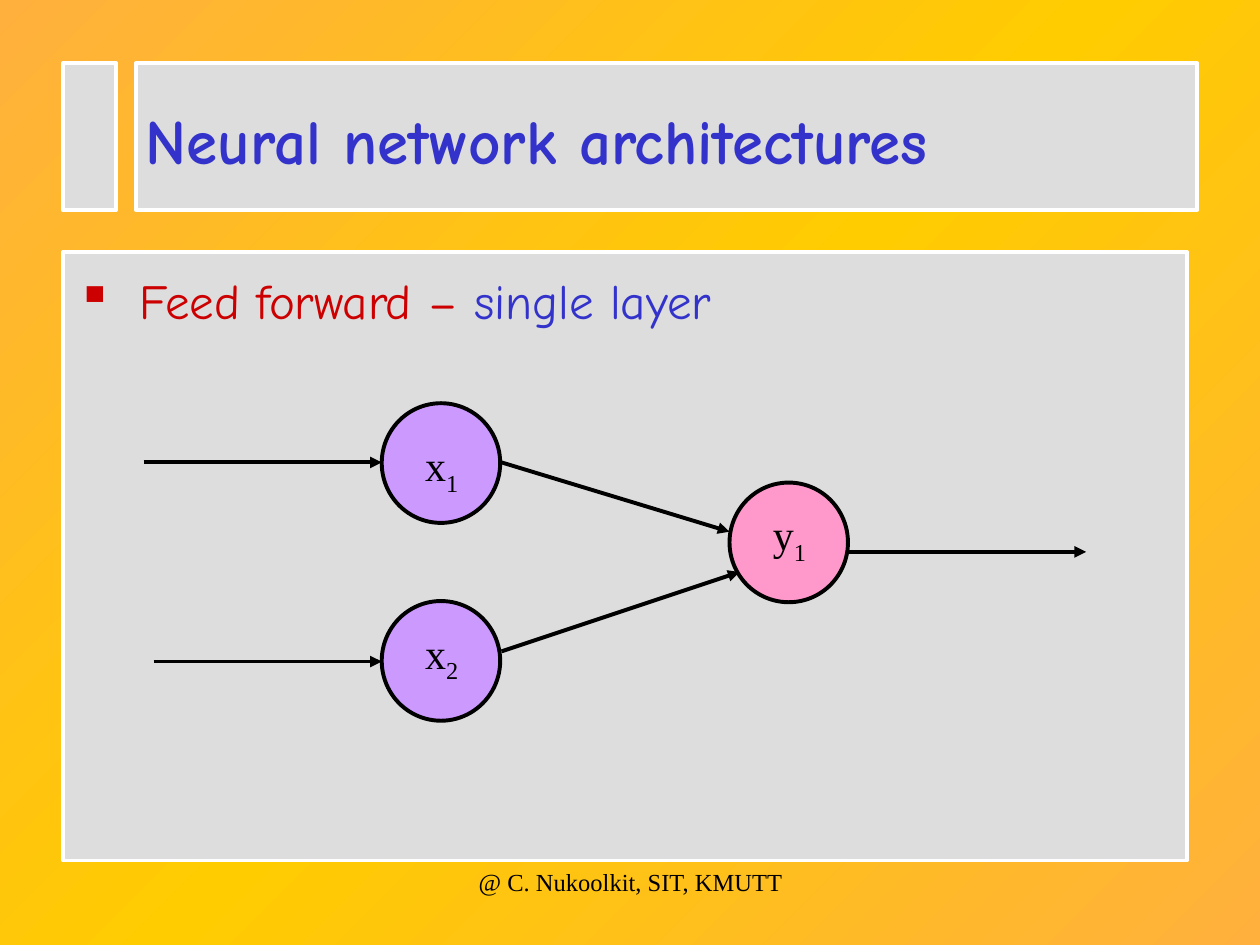
import copy

import pptx
import pptx.dml.color
import pptx.enum.shapes
import pptx.enum.text
import pptx.oxml
import pptx.oxml.ns
import pptx.util

Inches = pptx.util.Inches
Pt = pptx.util.Pt
SHAPES = pptx.enum.shapes.MSO_SHAPE
ALIGN = pptx.enum.text.PP_ALIGN


def color(hex_string):
    return pptx.dml.color.RGBColor.from_string(hex_string)


def add_element(parent, tag, **attributes):
    element = pptx.oxml.parse_xml(f"<{tag} {pptx.oxml.ns.nsdecls('a')}/>")
    for name, value in attributes.items():
        element.set(name, value)
    parent.append(element)
    return element


class SlideBuilder:
    """Hold the deck's style and draw elements on the current slide."""

    heading_font = "Comic Neue"
    label_font = "Times New Roman"
    black, blue, red = "000000", "3333CC", "CC0000"
    panel, border = "DDDDDD", "FFFFFF"
    input_fill, output_fill = "CC99FF", "FF99CC"
    edge, center = "FFB03D", "FFCC00"
    line_width = 2.25

    def __init__(self, slide):
        self.slide = slide

    def background(self):
        fill = self.slide.background.fill
        fill.gradient()
        fill.gradient_angle = 135
        stop_list = self.slide.element.xpath(".//a:gsLst")[0]
        stop_list.insert(1, copy.deepcopy(stop_list[0]))
        stops = zip(fill.gradient_stops, (0, 0.5, 1), (self.edge, self.center, self.edge))
        for stop, position, stop_color in stops:
            stop.position = position
            stop.color.rgb = color(stop_color)

    def shape(self, kind, box, fill, line):
        shape = self.slide.shapes.add_shape(kind, *map(Inches, box))
        shape.shadow.inherit = False
        shape.fill.solid()
        shape.fill.fore_color.rgb = color(fill)
        shape.line.color.rgb = color(line)
        shape.line.width = Pt(self.line_width)

    def rectangle(self, *box):
        self.shape(SHAPES.RECTANGLE, box, self.panel, self.border)

    def node(self, left, top, fill):
        self.shape(SHAPES.OVAL, (left, top, 0.94, 0.95), fill, self.black)

    def arrow(self, *ends):
        connector = self.slide.shapes.add_connector(
            pptx.enum.shapes.MSO_CONNECTOR.STRAIGHT, *map(Inches, ends))
        connector.line.color.rgb = color(self.black)
        connector.line.width = Pt(self.line_width)
        properties = connector.element.spPr
        add_element(properties.find(pptx.oxml.ns.qn("a:ln")), "a:tailEnd", type="triangle")
        add_element(properties, "a:effectLst")

    def text(self, box, size, font, align=ALIGN.LEFT, grow=True):
        text_box = self.slide.shapes.add_textbox(*map(Inches, box))
        frame = text_box.text_frame
        frame.word_wrap = True
        if grow:
            frame.auto_size = pptx.enum.text.MSO_AUTO_SIZE.SHAPE_TO_FIT_TEXT
        paragraph = frame.paragraphs[0]
        paragraph.alignment = align
        self.size, self.font = size, font
        return paragraph

    def run(self, paragraph, text, text_color, bold=False, subscript=False):
        run = paragraph.add_run()
        run.text = text
        run.font.size = Pt(self.size)
        run.font.name = self.font
        run.font.bold = bold
        run.font.color.rgb = color(text_color)
        if subscript:
            run.font._element.set("baseline", "-25000")

    def bullet(self, paragraph, character, bullet_color, indent):
        properties = paragraph._p.get_or_add_pPr()
        properties.set("marL", str(Inches(indent)))
        properties.set("indent", str(-Inches(indent)))
        add_element(add_element(properties, "a:buClr"), "a:srgbClr", val=bullet_color)
        add_element(properties, "a:buChar", char=character)

    def label(self, left, top, letter, index):
        paragraph = self.text((left, top, 0.79, 0.56), 24, self.label_font, ALIGN.CENTER)
        self.run(paragraph, letter, self.black)
        self.run(paragraph, index, self.black, subscript=True)


def main():
    presentation = pptx.Presentation()
    presentation.slide_width = Inches(10)
    presentation.slide_height = Inches(7.5)
    builder = SlideBuilder(presentation.slides.add_slide(presentation.slide_layouts[6]))

    builder.background()
    builder.rectangle(1.08, 0.5, 8.42, 1.17)
    builder.rectangle(0.5, 2, 8.92, 4.83)
    builder.rectangle(0.5, 0.5, 0.42, 1.17)

    topic = builder.text((0.51, 2.1, 8.92, 0.57), 28, builder.heading_font)
    builder.bullet(topic, "▪", builder.red, 0.5)
    builder.run(topic, "Feed forward – ", builder.red)
    builder.run(topic, "single layer", builder.blue)

    title = builder.text((1.06, 0.76, 8.74, 0.7), 36, builder.heading_font)
    builder.run(title, "Neural network architectures", builder.blue, bold=True)

    nodes = [
        (3.03, 3.2, builder.input_fill, 3.44, "x", "1"),
        (3.03, 4.77, builder.input_fill, 4.93, "x", "2"),
        (5.79, 3.83, builder.output_fill, 3.99, "y", "1"),
    ]
    for left, top, fill, label_top, letter, index in nodes:
        builder.node(left, top, fill)
        builder.label(left + 0.08, label_top, letter, index)

    arrows = [
        (1.14, 3.67, 3.03, 3.67),
        (1.22, 5.25, 3.03, 5.25),
        (3.98, 3.67, 5.79, 4.22),
        (3.98, 5.17, 5.87, 4.54),
        (6.73, 4.38, 8.62, 4.38),
    ]
    for ends in arrows:
        builder.arrow(*ends)

    footer = builder.text((3.42, 6.83, 3.17, 0.5), 14, builder.label_font, ALIGN.CENTER, grow=False)
    builder.run(footer, "@ C. Nukoolkit, SIT, KMUTT", builder.black)

    presentation.save("out.pptx")


if __name__ == "__main__":
    main()
